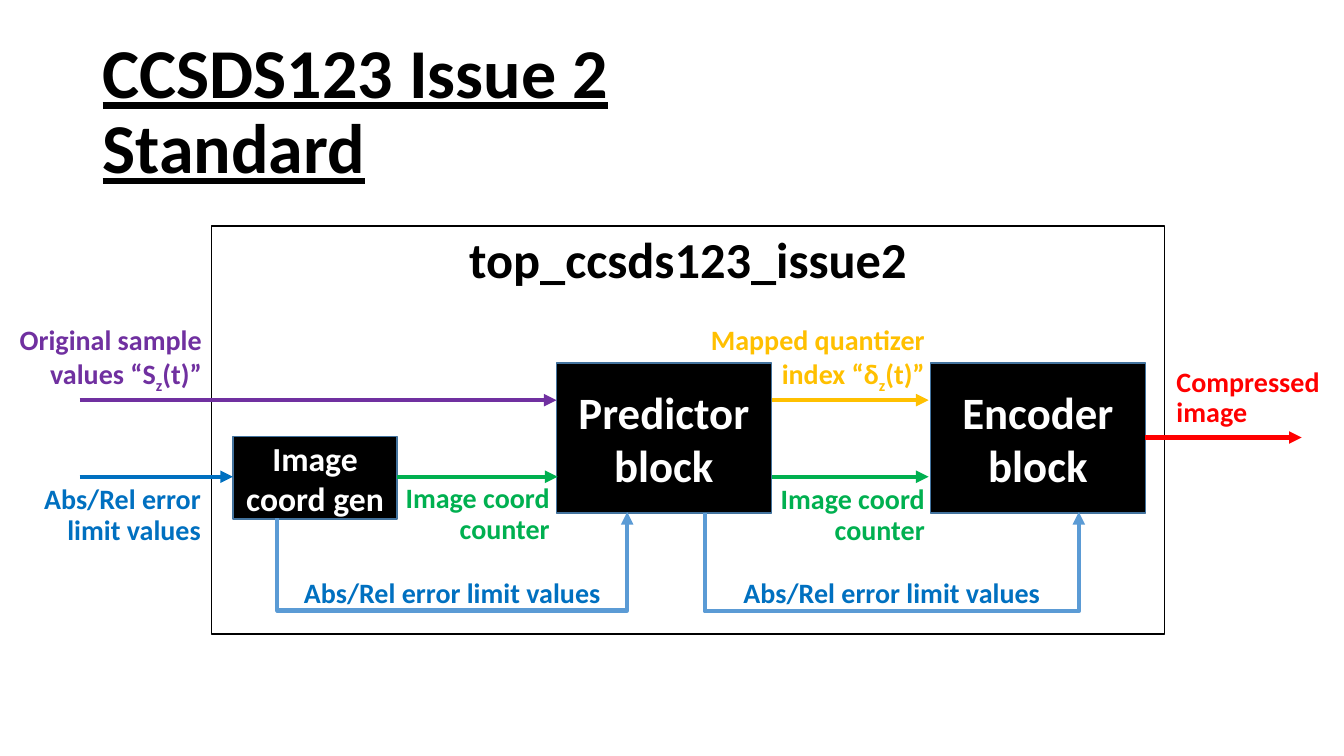
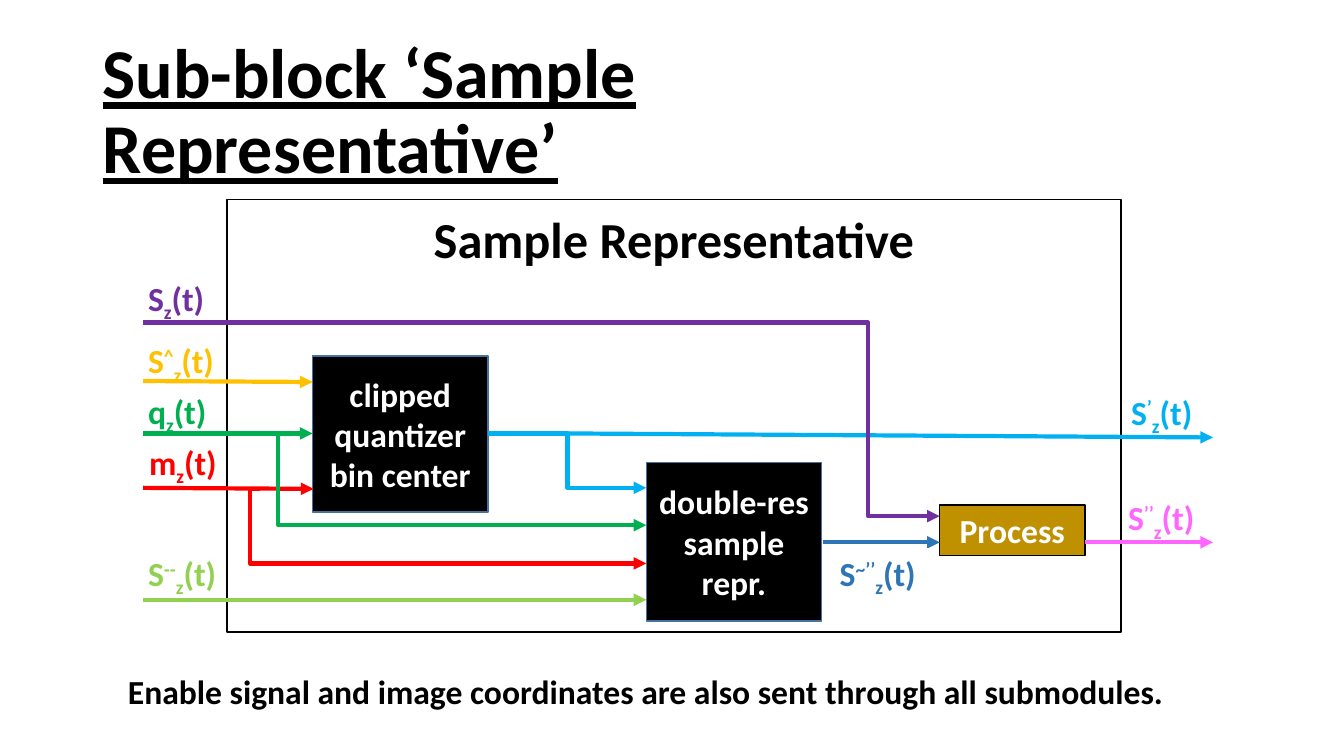
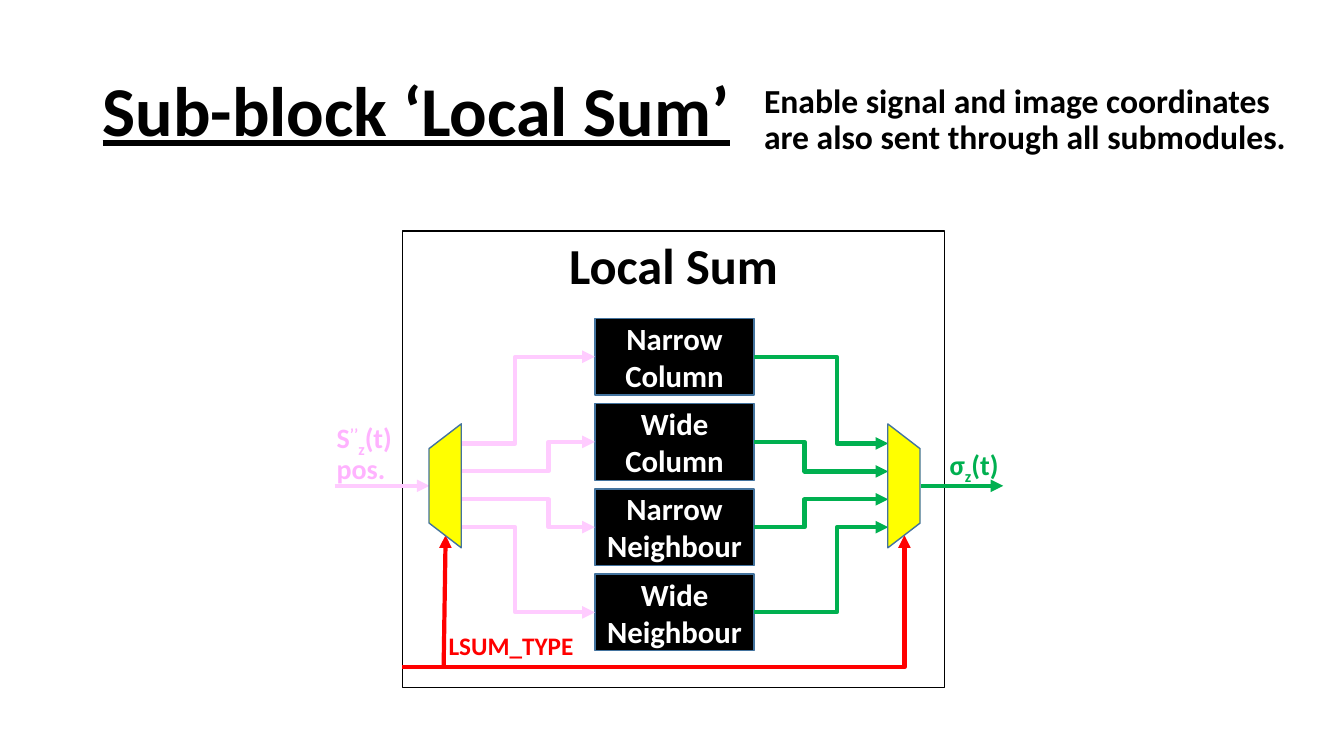
from lxml import etree
from pptx import Presentation
from pptx.dml.color import RGBColor
from pptx.enum.shapes import MSO_CONNECTOR, MSO_SHAPE
from pptx.enum.text import MSO_ANCHOR, PP_ALIGN
from pptx.oxml.ns import qn
from pptx.util import Inches, Pt

RECTANGLE = MSO_SHAPE.RECTANGLE
TRAPEZOID = MSO_SHAPE.FLOWCHART_MANUAL_OPERATION
STRAIGHT, ELBOW = MSO_CONNECTOR.STRAIGHT, MSO_CONNECTOR.ELBOW
LEFT, CENTER, RIGHT = PP_ALIGN.LEFT, PP_ALIGN.CENTER, PP_ALIGN.RIGHT
TOP, MIDDLE = MSO_ANCHOR.TOP, MSO_ANCHOR.MIDDLE

FONT = "Calibri"
SUPERSCRIPT, SUBSCRIPT = 30000, -25000
NOTE = "Enable signal and image coordinates are also sent through all submodules."
COLORS = {
    "black": "000000", "white": "FFFFFF", "edge": "43739E",
    "purple": "7030A0", "amber": "FFC000", "red": "FF0000",
    "green": "00B050", "lime": "92D050", "blue": "0070C0",
    "steel": "5B9BD5", "navy": "2E75B6", "cyan": "00B0F0",
    "magenta": "FF66FF", "pink": "FFCCFF", "pink text": "FFB3FF",
    "gold": "BF9000", "yellow": "FFFF00",
}


def rgb(name):
    """Return the named colour."""
    return RGBColor.from_string(COLORS[name])


def signal(symbol, raised="", tail="(t)"):
    """Return the spans of a signal name with its z index."""
    return [(symbol, 0), (raised, SUPERSCRIPT), ("z", SUBSCRIPT), (tail, 0)]


def write(frame, content, size, color, align=LEFT, anchor=TOP, spacing=None):
    """Fill a text frame with a string or a list of (text, baseline) spans."""
    frame.word_wrap = True
    frame.vertical_anchor = anchor
    para = frame.paragraphs[0]
    para.alignment = align
    para.line_spacing = spacing
    font = para.font
    font.name, font.size, font.bold = FONT, Pt(size), True
    font.color.rgb = rgb(color)
    spans = [(content, 0)] if isinstance(content, str) else content
    for text, baseline in spans:
        for number, line in enumerate(text.split("\n")):
            if number:
                para.add_line_break()
            if line:
                span = para.add_run()
                span.text = line
                if baseline:
                    properties = span._r.get_or_add_rPr()
                    properties.set("baseline", str(baseline))
    return para


def add_label(page, place, content, color, size=24, align=LEFT, anchor=TOP):
    """Add a text box at place and return its paragraph."""
    box = page.shapes.add_textbox(*map(Inches, place))
    return write(box.text_frame, content, size, color, align, anchor, 0.9)


def add_title(page, text, width):
    """Add the underlined slide title."""
    place = (0.92, 0.4, width, 1.45)
    para = add_label(page, place, text, "black", 50, anchor=MIDDLE)
    para.font.underline = True


def add_solid(page, place, fill, edge="edge", kind=RECTANGLE):
    """Add a shape with a thin outline, filled unless fill is None."""
    shape = page.shapes.add_shape(kind, *map(Inches, place))
    shape.shadow.inherit = False
    if fill:
        shape.fill.solid()
        shape.fill.fore_color.rgb = rgb(fill)
    else:
        shape.fill.background()
    shape.line.color.rgb = rgb(edge)
    shape.line.width = Pt(1)
    return shape


def add_frame(page, place, name, inset):
    """Add the outer module frame, named at its top."""
    frame = add_solid(page, place, "white", "black")
    frame.text_frame.margin_top = Inches(inset)
    write(frame.text_frame, name, 36, "black", CENTER)


def add_block(page, place, name, size=24, fill="black", edge="edge"):
    """Add a processing block with its name in the middle."""
    block = add_solid(page, place, fill, edge)
    write(block.text_frame, name, size, "white", CENTER, MIDDLE)


def add_selector(page, place, rotation):
    """Add a multiplexer symbol."""
    add_solid(page, place, "yellow", kind=TRAPEZOID).rotation = rotation


def add_wire(page, kind, start, end, color, arrow="tailEnd"):
    """Add a connector with an arrowhead at one end."""
    wire = page.shapes.add_connector(kind, *map(Inches, start + end))
    wire.line.color.rgb = rgb(color)
    wire.line.width = Pt(3)
    head = etree.SubElement(wire.line._get_or_add_ln(), qn("a:" + arrow))
    head.set("type", "triangle")
    etree.SubElement(wire._element.spPr, qn("a:effectLst"))
    return wire


def set_bend(wire, share):
    """Place the middle leg of an elbow at a share of its length."""
    adjustments = wire._element.spPr.find(qn("a:prstGeom")).find(qn("a:avLst"))
    guide = etree.SubElement(adjustments, qn("a:gd"))
    guide.set("name", "adj1")
    guide.set("fmla", f"val {round(share * 100000)}")


def add_arrow(page, start, end, color):
    """Add a straight arrow."""
    add_wire(page, STRAIGHT, start, end, color)


def add_elbow(page, start, end, turn, color):
    """Add an arrow whose upright leg stands at x = turn."""
    wire = add_wire(page, ELBOW, start, end, color)
    if turn == end[0]:
        wire._element.spPr.find(qn("a:prstGeom")).set("prst", "bentConnector2")
    else:
        set_bend(wire, (turn - start[0]) / (end[0] - start[0]))


def add_loop(page, target, source, bottom, color):
    """Add an arrow running down from source and up to target on its right."""
    rise, reach = source[1] - target[1], target[0] - source[0]
    middle_x = (source[0] + target[0]) / 2
    middle_y = (source[1] + target[1]) / 2
    start = (middle_x - rise / 2, middle_y - reach / 2)
    end = (middle_x + rise / 2, middle_y + reach / 2)
    wire = add_wire(page, ELBOW, start, end, color, "headEnd")
    wire._element.spPr.find(qn("a:xfrm")).set("rot", "5400000")
    set_bend(wire, (bottom - target[1]) / rise)


def build_standard(page):
    """Draw the top level of the compressor."""
    add_frame(page, (2.1, 2.24, 9.45, 4.05), "top_ccsds123_issue2", 0.02)
    add_title(page, "CCSDS123 Issue 2 Standard", 7.95)
    add_block(page, (5.52, 3.6, 2.13, 1.49), "Predictor block", 32)
    add_block(page, (9.23, 3.6, 2.13, 1.49), "Encoder\nblock", 32)
    add_block(page, (2.31, 4.33, 1.63, 0.82), "Image\ncoord gen")

    for left, right, y, color in (
        (0.79, 5.52, 3.97, "purple"),
        (7.66, 9.21, 3.97, "amber"),
        (11.36, 12.91, 4.34, "red"),
        (3.94, 5.53, 4.73, "green"),
        (7.66, 9.21, 4.73, "green"),
        (0.79, 2.31, 4.73, "blue"),
    ):
        add_arrow(page, (left, y), (right, y), color)
    add_loop(page, (6.22, 5.08), (2.75, 5.14), 6.06, "steel")
    add_loop(page, (10.7, 5.08), (6.99, 5.09), 6.08, "steel")

    sample = signal("Original sample\nvalues “S", tail="(t)”")
    index = signal("Mapped quantizer index “δ", tail="(t)”")
    counter, limits = "Image coord counter", "Abs/Rel error limit values"
    for place, content, color, align in (
        ((0.09, 3.19, 2.01, 0.8), sample, "purple", RIGHT),
        ((6.89, 3.19, 2.38, 0.79), index, "amber", RIGHT),
        ((11.57, 3.6, 1.68, 0.74), "Compressed image", "red", LEFT),
        ((3.84, 4.76, 1.71, 0.75), counter, "green", RIGHT),
        ((7.56, 4.77, 1.71, 0.71), counter, "green", RIGHT),
        ((0.2, 4.77, 1.89, 0.71), limits, "blue", RIGHT),
        ((2.84, 5.7, 3.29, 0.39), limits, "blue", CENTER),
        ((7.2, 5.7, 3.29, 0.39), limits, "blue", CENTER),
    ):
        add_label(page, place, content, color, 20, align)


def build_representative(page):
    """Draw the sample representative sub-block."""
    add_frame(page, (2.25, 1.98, 8.87, 4.29), "Sample Representative", 0.08)
    add_title(page, "Sub-block ‘Sample Representative’", 9.77)
    add_block(page, (3.1, 3.53, 1.74, 1.55), "clipped quantizer bin center")
    add_block(page, (6.41, 4.59, 1.74, 1.57), "double-res sample repr.")
    add_block(page, (9.32, 5.01, 1.44, 0.5), "Process", 24, "gold", "black")

    for start, end, color in (
        ((1.42, 5.95), (6.41, 5.95), "lime"),
        ((1.42, 4.3), (3.1, 4.3), "green"),
        ((1.42, 3.78), (3.1, 3.79), "amber"),
        ((1.42, 4.84), (3.11, 4.85), "red"),
        ((8.16, 5.38), (9.32, 5.38), "navy"),
        ((10.76, 5.38), (12.03, 5.38), "magenta"),
        ((5.62, 4.3), (12.03, 4.34), "cyan"),
    ):
        add_arrow(page, start, end, color)
    for start, end, turn, color in (
        ((2.58, 4.85), (6.41, 5.59), 2.48, "red"),
        ((2.8, 4.3), (6.41, 5.21), 2.76, "green"),
        ((4.84, 4.3), (6.41, 4.84), 5.63, "cyan"),
        ((1.42, 3.2), (9.32, 5.12), 8.61, "purple"),
    ):
        add_elbow(page, start, end, turn, color)

    for left, top, symbol, raised, color in (
        (1.37, 2.71, "S", "", "purple"),
        (1.37, 3.33, "S", "^", "amber"),
        (1.37, 3.83, "q", "", "green"),
        (1.38, 4.34, "m", "", "red"),
        (1.37, 5.44, "S", "--", "lime"),
        (11.12, 3.84, "S", "’", "cyan"),
        (11.09, 4.89, "S", "’’", "magenta"),
    ):
        place = (left, top, 0.96, 0.42)
        add_label(page, place, signal(symbol, raised), color)
    plate = add_solid(page, (8.23, 5.44, 1.01, 0.42), None, "white")
    write(plate.text_frame, signal("S", "~’’"), 24, "navy", spacing=0.9)
    add_label(page, (1.17, 6.65, 10.48, 0.48), NOTE, "black")


def build_local_sum(page):
    """Draw the local sum sub-block."""
    add_frame(page, (3.99, 2.29, 5.38, 4.53), "Local Sum", 0.03)
    add_title(page, "Sub-block ‘Local Sum’", 8.31)
    add_label(page, (7.48, 0.79, 5.54, 0.86), NOTE, "black")

    modes = ("Narrow Column", "Wide Column", "Narrow Neighbour", "Wide Neighbour")
    for row, mode in enumerate(modes):
        top = 3.16 + 0.845 * row
        middle, port = top + 0.38, 4.4 + 0.277 * row
        outer = row in (0, 3)
        add_block(page, (5.9, top, 1.58, 0.76), mode, 22)
        add_elbow(page, (4.58, port), (5.9, middle),
                  5.11 if outer else 5.44, "pink")
        add_elbow(page, (7.48, middle), (8.81, port),
                  8.3 if outer else 7.98, "green")

    add_arrow(page, (3.32, 4.82), (4.26, 4.82), "pink")
    add_arrow(page, (9.13, 4.82), (9.95, 4.82), "green")
    add_arrow(page, (4.4, 6.62), (4.42, 5.31), "red")
    add_elbow(page, (3.99, 6.62), (8.97, 5.31), 8.97, "red")
    add_selector(page, (3.8, 4.66, 1.23, 0.32), 90)
    add_selector(page, (8.35, 4.66, 1.23, 0.32), 270)

    position = signal("S", "’’", "(t)\npos.")
    add_label(page, (3.24, 4.13, 0.95, 0.75), position, "pink text", 20)
    add_label(page, (9.32, 4.4, 0.82, 0.5), signal("σ"), "green", 20)
    add_label(page, (4.35, 6.24, 1.69, 0.4), "LSUM_TYPE", "red", 18)


def main():
    """Build and save the deck."""
    deck = Presentation()
    deck.slide_width, deck.slide_height = Inches(13.33), Inches(7.5)
    for build in (build_standard, build_representative, build_local_sum):
        build(deck.slides.add_slide(deck.slide_layouts[6]))
    deck.save("out.pptx")


main()
